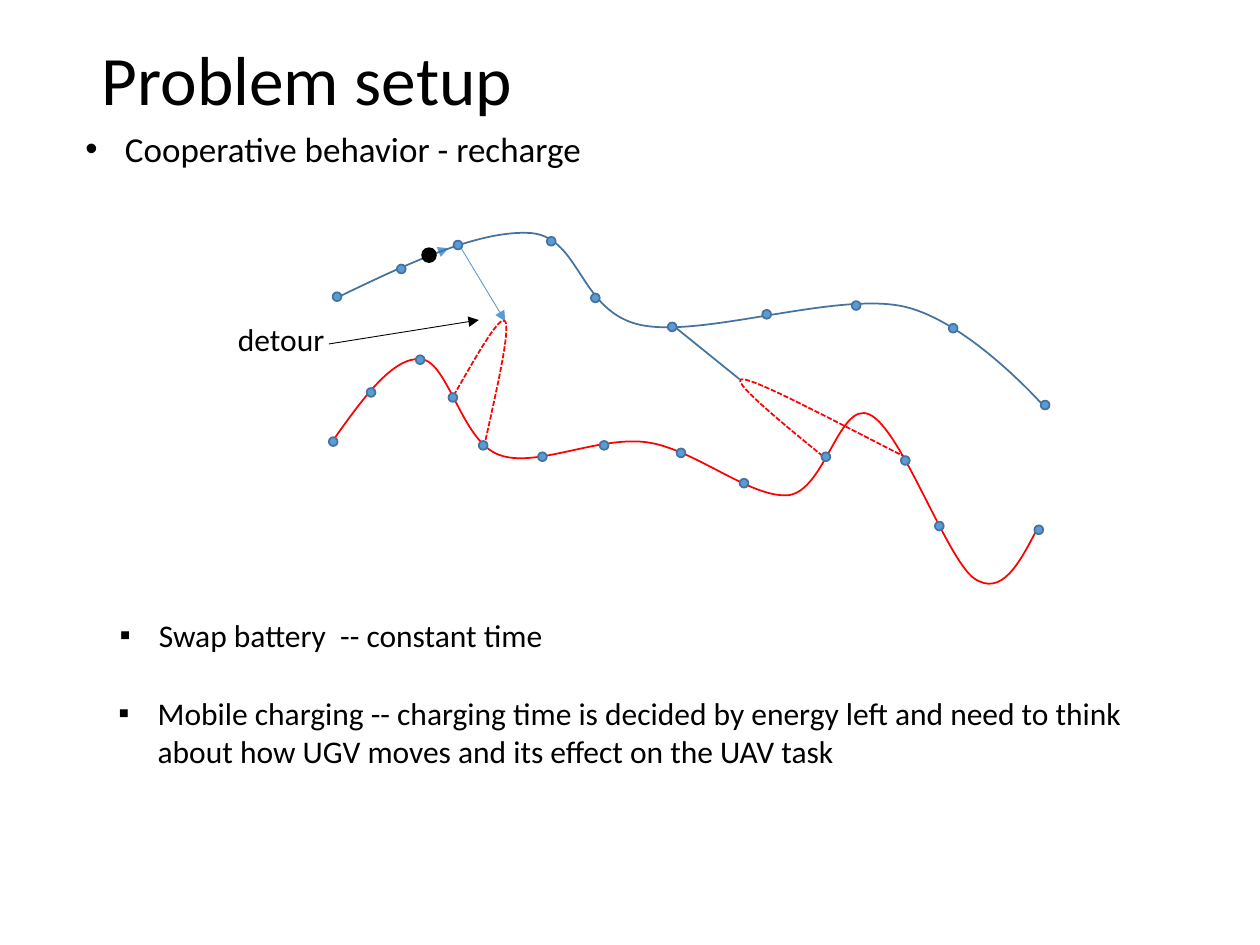
"""Build the slide on cooperative recharging of a UAV by a UGV."""
from lxml.etree import Element, SubElement
from pptx import Presentation
from pptx.dml.color import RGBColor
from pptx.enum.dml import MSO_LINE
from pptx.enum.shapes import MSO_CONNECTOR, MSO_SHAPE
from pptx.enum.text import MSO_ANCHOR
from pptx.oxml.ns import qn
from pptx.util import Inches, Pt

COLORS = {"ink": "000000", "uav": "43739E", "stop": "5B9BD5", "ugv": "FF0000"}
STOP_SIZE = 0.07
UAV_SIZE = 0.11

deck = Presentation()
deck.slide_width, deck.slide_height = Inches(10), Inches(7.5)
column, row = deck.slide_width / 10, deck.slide_height / 7.5
slide = deck.slides.add_slide(deck.slide_layouts[6])
shapes = slide.shapes


def place(*lengths):
    return [round(length * unit) for length, unit in zip(lengths, (column, row) * 2)]


def paint(line, color, width, dash=None):
    line.color.rgb = RGBColor.from_string(COLORS[color])
    for name, value in {"width": Pt(width), "dash_style": dash}.items():
        setattr(line, name, value)


links = [
    ((3.35, 2.05, 3.56, 1.97), "stop"),
    ((2.61, 2.73, 3.8, 2.54), "ink"),
    ((3.66, 1.97, 4.01, 2.55), "stop"),
]
for ends, color in links:
    link = shapes.add_connector(MSO_CONNECTOR.STRAIGHT, *place(*ends))
    paint(link.line, color, 0.5)
    SubElement(link._element.spPr.find(qn("a:ln")), qn("a:tailEnd"), type="triangle")
    SubElement(link._element.spPr, qn("a:effectLst"))

texts = [
    ("Problem setup", (0.71, 0.4, 8.62, 0.52), 39.6, None),
    ("Cooperative behavior - recharge", (0.58, 0.96, 8.35, 0.44), 20, "•"),
    ("detour", (1.79, 2.49, 1.08, 0.4), 18, None),
    ("Swap battery  -- constant time", (0.85, 4.84, 8.35, 0.4), 18, "▪"),
    ("Mobile charging -- charging time is decided by energy left and need to think "
     "about how UGV moves and its effect on the UAV task",
     (0.84, 5.46, 8.35, 0.71), 18, "▪"),
]
for words, area, size, bullet in texts:
    frame = shapes.add_textbox(*place(*area)).text_frame
    frame.word_wrap = True
    paragraph = frame.paragraphs[0]
    if words == "Problem setup":
        frame.vertical_anchor = MSO_ANCHOR.MIDDLE
        paragraph.line_spacing = 0.9
    if bullet:
        properties = paragraph._p.get_or_add_pPr()
        hang = round(column * 5 / 16)
        for name, value in {"marL": hang, "indent": -hang}.items():
            properties.set(name, str(value))
        SubElement(properties, qn("a:buFont"), typeface="Arial")
        SubElement(properties, qn("a:buChar"), char=bullet)
    run = paragraph.add_run()
    run.text = words
    for name, value in {"name": "Calibri", "size": Pt(size)}.items():
        setattr(run.font, name, value)
    run.font.color.rgb = RGBColor.from_string(COLORS["ink"])

uav_route = [
    (2.7, 2.35), (3.26, 2.08), (3.82, 1.82), (4.22, 1.85), (4.61, 1.89), (4.6, 2.48),
    (5.09, 2.58), (5.58, 2.68), (6.62, 2.32), (7.16, 2.43), (7.69, 2.54), (8.3, 3.24),
    (8.3, 3.24),
]
ugv_route = [
    (2.64, 3.5), (2.88, 3.16), (3.12, 2.83), (3.34, 2.85), (3.56, 2.87), (3.66, 3.5),
    (3.96, 3.61), (4.25, 3.72), (4.74, 3.46), (5.13, 3.51), (5.51, 3.56), (5.96, 3.96),
    (6.26, 3.93), (6.55, 3.89), (6.66, 3.18), (6.9, 3.29), (7.15, 3.4), (7.51, 4.43),
    (7.73, 4.59), (7.95, 4.74), (8.09, 4.47), (8.23, 4.2),
]
first_detour = [
    (3.6, 3.14), (3.79, 2.81), (3.97, 2.49), (4.01, 2.55),
    (4.05, 2.62), (3.95, 3.06), (3.85, 3.51),
]
second_detour = [
    (6.53, 3.62), (6.16, 3.32), (5.79, 3.01), (5.89, 3.01),
    (6, 3.01), (6.58, 3.32), (7.17, 3.62),
]
meeting_leg = [(5.35, 2.59), (5.35, 2.59), (5.87, 3.01), (5.87, 3.01)]
curves = [
    (uav_route, "uav", None),
    (ugv_route, "ugv", None),
    (meeting_leg, "uav", None),
    (second_detour, "ugv", MSO_LINE.SQUARE_DOT),
    (first_detour, "ugv", MSO_LINE.SQUARE_DOT),
]
for knots, color, dash in curves:
    anchors = [place(*knot) for knot in knots[::3]]
    builder = shapes.build_freeform(*anchors[0])
    builder.add_line_segments(anchors[1:], close=False)
    curve = builder.convert_to_shape()
    bends = list(curve._element.iter(qn("a:lnTo")))
    for bend, *handles in zip(bends, knots[1::3], knots[2::3]):
        bend.tag = qn("a:cubicBezTo")
        for order, handle in enumerate(handles):
            x, y = place(*handle)
            bend.insert(order, Element(qn("a:pt"), x=str(x - curve.left), y=str(y - curve.top)))
    curve.shadow.inherit = False
    curve.fill.background()
    paint(curve.line, color, 1, dash)

ugv_stops = [
    (2.61, 3.47), (2.91, 3.08), (3.3, 2.82), (3.56, 3.12), (3.8, 3.5), (4.27, 3.59),
    (4.76, 3.5), (5.37, 3.56), (5.87, 3.8), (6.52, 3.59), (7.15, 3.62), (7.42, 4.14),
    (8.21, 4.17),
]
uav_stops = [
    (2.64, 2.32), (3.15, 2.1), (3.6, 1.91), (4.34, 1.88), (4.69, 2.33), (5.3, 2.56),
    (6.05, 2.46), (6.76, 2.39), (7.53, 2.57), (8.26, 3.18),
]
dots = [(stop, STOP_SIZE, "stop", "uav") for stop in ugv_stops + uav_stops]
dots.append(((3.35, 1.97), UAV_SIZE, "ink", "ink"))
for corner, size, fill, edge in dots:
    dot = shapes.add_shape(MSO_SHAPE.OVAL, *place(*corner, size, size))
    dot.shadow.inherit = False
    dot.fill.solid()
    dot.fill.fore_color.rgb = RGBColor.from_string(COLORS[fill])
    paint(dot.line, edge, 1)

deck.save("out.pptx")
